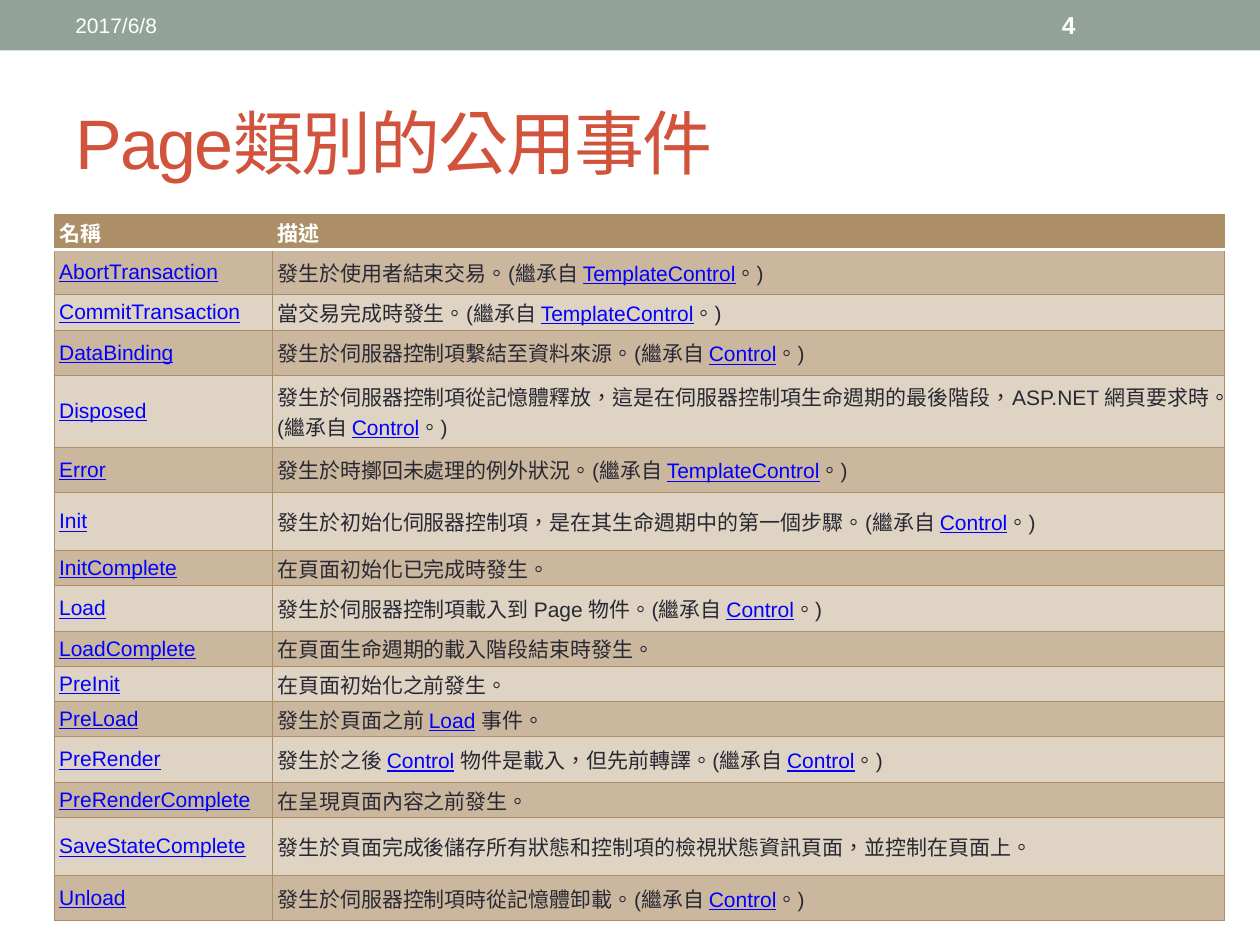
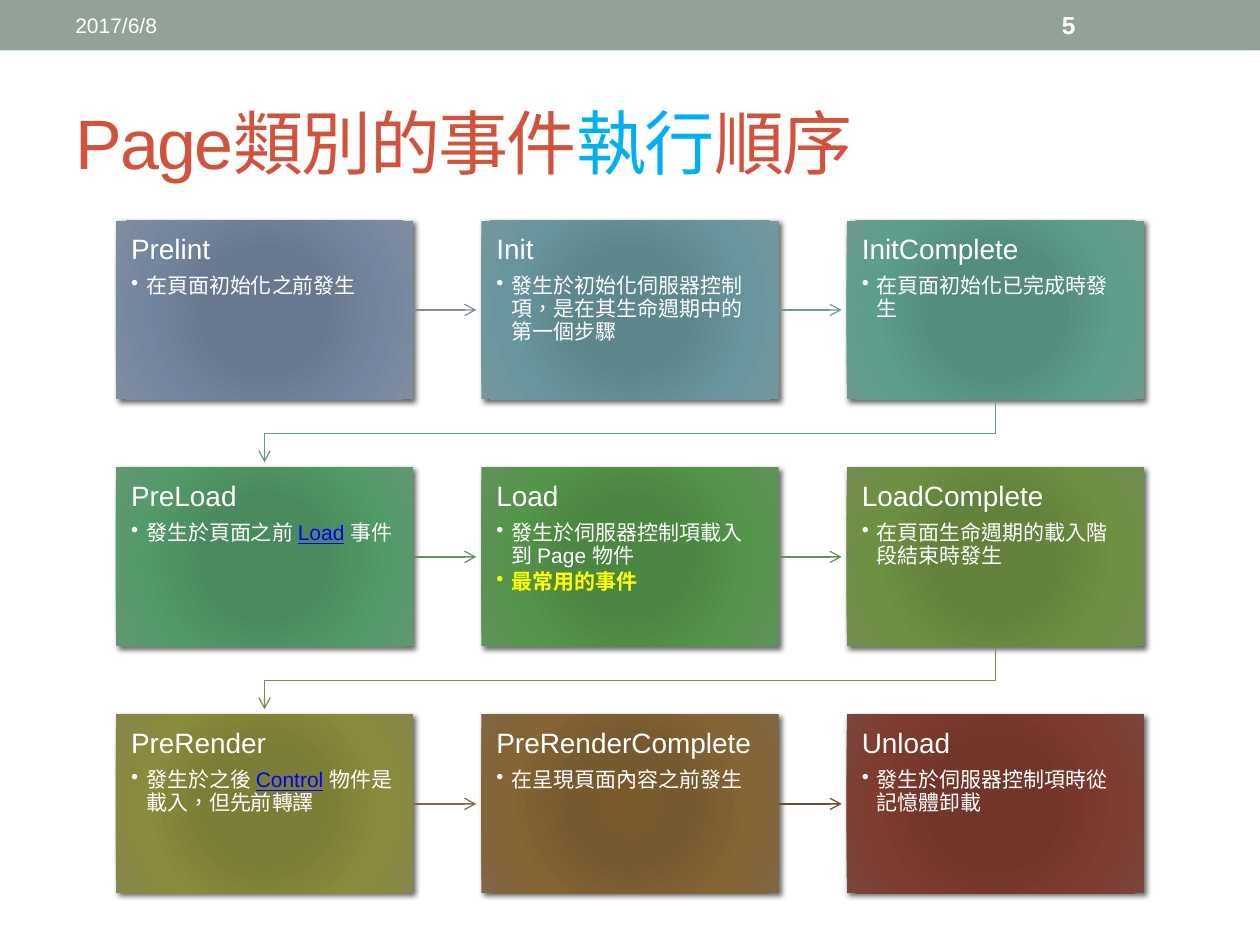
from dataclasses import dataclass
from lxml.etree import SubElement
from pptx import Presentation
from pptx.dml.color import RGBColor
from pptx.enum.shapes import MSO_CONNECTOR as Link, MSO_SHAPE as Preset
from pptx.enum.text import MSO_ANCHOR as Anchor, MSO_AUTO_SIZE as Fit, PP_ALIGN as Align
from pptx.oxml.ns import qn
from pptx.util import Inches, Pt


@dataclass(frozen=True)
class Theme:
    font: str = "Arial"
    language: str = "zh-TW"
    white: str = "FFFFFF"
    band: str = "93A299"
    title: str = "D2533C"
    accent: str = "00B0F0"
    text: str = "292934"
    link: str = "0000FF"
    notice: str = "FFFF00"
    head: str = "AD8F67"
    stripes: tuple = ("DFD3C3", "CAB79E")
    title_size: int = 40
    step_size: int = 16
    number_size: int = 14
    body_size: int = 12


THEME = Theme()
DATE = "2017/6/8"

EVENTS_TITLE = "Page類別的公用事件"
HEADINGS = ("名稱", "描述")
COLUMN_WIDTHS = (1.73, 7.56)
SHORT, MEDIUM, TALL, DOUBLE = 0.28, 0.36, 0.46, 0.57
FROM_CONTROL = "(繼承自 |Control|。)"
FROM_TEMPLATE = "(繼承自 |TemplateControl|。)"
EVENTS = [
    ("AbortTransaction", "發生於使用者結束交易。" + FROM_TEMPLATE, MEDIUM),
    ("CommitTransaction", "當交易完成時發生。" + FROM_TEMPLATE, SHORT),
    ("DataBinding", "發生於伺服器控制項繫結至資料來源。" + FROM_CONTROL, MEDIUM),
    ("Disposed", "發生於伺服器控制項從記憶體釋放，這是在伺服器控制項生命週期的最後階段，"
     "ASP.NET 網頁要求時。" + FROM_CONTROL, DOUBLE),
    ("Error", "發生於時擲回未處理的例外狀況。" + FROM_TEMPLATE, MEDIUM),
    ("Init", "發生於初始化伺服器控制項，是在其生命週期中的第一個步驟。" + FROM_CONTROL, TALL),
    ("InitComplete", "在頁面初始化已完成時發生。", SHORT),
    ("Load", "發生於伺服器控制項載入到 Page 物件。" + FROM_CONTROL, MEDIUM),
    ("LoadComplete", "在頁面生命週期的載入階段結束時發生。", SHORT),
    ("PreInit", "在頁面初始化之前發生。", SHORT),
    ("PreLoad", "發生於頁面之前 |Load| 事件。", SHORT),
    ("PreRender", "發生於之後 |Control| 物件是載入，但先前轉譯。" + FROM_CONTROL, MEDIUM),
    ("PreRenderComplete", "在呈現頁面內容之前發生。", SHORT),
    ("SaveStateComplete", "發生於頁面完成後儲存所有狀態和控制項的檢視狀態資訊頁面，並控制在頁面上。", TALL),
    ("Unload", "發生於伺服器控制項時從記憶體卸載。" + FROM_CONTROL, MEDIUM),
]

ORDER_TITLE = "Page類別的事件|執行|順序"
STEPS = [
    ("Prelint", "在頁面初始化之前發生", "677790 68788E 74869F 808DA0"),
    ("Init", "發生於初始化伺服器控制項，是在其生命週期中的第一個步驟", "5C878F 5E868D 69959E 76979D"),
    ("InitComplete", "在頁面初始化已完成時發生", "528E7E 548C7D 5D9D8C 6B9A8E"),
    ("PreLoad", "發生於頁面之前 |Load| 事件", "488C5D 4A8A5E 539A69 629772"),
    ("Load", "發生於伺服器控制項載入到 Page 物件", "4A8841 4C8643 55954B 61915A"),
    ("LoadComplete", "在頁面生命週期的載入階段結束時發生", "63843A 63823C 6E9043 728C52"),
    ("PreRender", "發生於之後 |Control| 物件是載入，但先前轉譯", "7E7F33 7C7D36 8A8B3C 85864B"),
    ("PreRenderComplete", "在呈現頁面內容之前發生", "7A5A2D 775930 856435 806644"),
    ("Unload", "發生於伺服器控制項時從記憶體卸載", "743327 72352A 7F3B2F 79463D"),
]
NOTICES = {"Load": "最常用的事件"}
ARROW_COLORS = "808DA0 74999D 689A86 5E9465 6B8E55 80884D 806B45 79463D".split()
GRADIENT_STOPS = (0, 34, 70, 100)
GRID_COLUMNS = 3
GRID_LEFT, GRID_TOP = 0.92, 1.75
STEP_WIDTH, STEP_HEIGHT = 2.36, 1.42
PITCH_X, PITCH_Y = 2.9, 1.96
ARROW_GAP = 0.04


def rgb(value):
    return RGBColor.from_string(value)


def add_xml(parent, tag, **attributes):
    node = SubElement(parent, qn(tag))
    for name, value in attributes.items():
        node.set(name, str(value))
    return node


def apply(target, **values):
    for name, value in values.items():
        setattr(target, name, value)


def write(para, text, size, color, bold=False, marked=None, spacing=None):
    for index, part in enumerate(text.split("|")):
        if not part:
            continue
        span = para.add_run()
        span.text = part
        style = dict(name=THEME.font, size=Pt(size), bold=bold)
        shade = color
        if index % 2 == 1:
            shade = marked or THEME.link
            style["underline"] = marked is None
        apply(span.font, **style)
        span.font.color.rgb = rgb(shade)
        properties = span._r.get_or_add_rPr()
        properties.set("lang", THEME.language)
        properties.set("altLang", "en-US")
        if spacing:
            properties.set("spc", str(spacing))


def add_label(page, text, left, width, size, bold=False):
    box = page.shapes.add_textbox(Inches(left), Inches(0.02), Inches(width), Inches(0.36))
    apply(box.text_frame, word_wrap=True, vertical_anchor=Anchor.MIDDLE)
    write(box.text_frame.paragraphs[0], text, size, THEME.white, bold)


def add_page(deck, title, number):
    page = deck.slides.add_slide(deck.slide_layouts[5])
    band = page.shapes.add_shape(Preset.RECTANGLE, 0, 0, deck.slide_width, Inches(0.4))
    band.fill.solid()
    band.fill.fore_color.rgb = rgb(THEME.band)
    band.line.fill.background()
    band.shadow.inherit = False

    heading = page.shapes.title
    apply(heading, left=Inches(0.5), top=Inches(0.58), width=Inches(9), height=Inches(1.08))
    apply(heading.text_frame, word_wrap=True, vertical_anchor=Anchor.MIDDLE, auto_size=Fit.NONE)
    para = heading.text_frame.paragraphs[0]
    para.alignment = Align.LEFT
    write(para, title, THEME.title_size, THEME.title, marked=THEME.accent, spacing=-100)

    add_label(page, DATE, 0.5, 3.17, THEME.body_size)
    add_label(page, number, 8.33, 1.17, THEME.number_size, bold=True)
    return page


def set_borders(cell, **changes):
    properties = cell._tc.get_or_add_tcPr()
    for index, side in enumerate("LRTB"):
        color, width = changes.get(side, (THEME.head, 0.75))
        line = add_xml(properties, f"a:ln{side}", w=Pt(width))
        add_xml(add_xml(line, "a:solidFill"), "a:srgbClr", val=color)
        properties.insert(index, line)


def fill_cell(cell, text, fill, color, bold=False, **borders):
    apply(cell, margin_left=Inches(0.04), margin_right=Inches(0.04),
          margin_top=Inches(0.02), margin_bottom=Inches(0.02), vertical_anchor=Anchor.MIDDLE)
    cell.fill.solid()
    cell.fill.fore_color.rgb = rgb(fill)
    set_borders(cell, **borders)
    write(cell.text_frame.paragraphs[0], text, THEME.body_size, color, bold)


def add_event_table(page):
    heights = [SHORT] + [height for _, _, height in EVENTS]
    table = page.shapes.add_table(
        len(heights), len(COLUMN_WIDTHS), Inches(0.43), Inches(1.7),
        Inches(sum(COLUMN_WIDTHS)), Inches(sum(heights))).table
    for column, width in zip(table.columns, COLUMN_WIDTHS):
        column.width = Inches(width)
    for row, height in zip(table.rows, heights):
        row.height = Inches(height)

    divider = (THEME.white, 2.08)
    for column, text in enumerate(HEADINGS):
        fill_cell(table.cell(0, column), text, THEME.head, THEME.white, True, B=divider)
    for row, (name, description, _) in enumerate(EVENTS, 1):
        borders = {"T": divider} if row == 1 else {}
        for column, text in enumerate((f"|{name}|", description)):
            fill_cell(table.cell(row, column), text, THEME.stripes[row % 2], THEME.text, **borders)


def shade_step(box, colors):
    box.fill.background()
    box.line.fill.background()
    box.shadow.inherit = False
    properties = box.element.spPr
    gradient = add_xml(properties, "a:gradFill", rotWithShape=1)
    stops = add_xml(gradient, "a:gsLst")
    for position, color in zip(GRADIENT_STOPS, colors.split()):
        add_xml(add_xml(stops, "a:gs", pos=position * 1000), "a:srgbClr", val=color)
    circle = add_xml(gradient, "a:path", path="circle")
    add_xml(circle, "a:fillToRect", **dict.fromkeys("ltrb", 100000))
    properties.replace(properties.find(qn("a:noFill")), gradient)
    shadow = add_xml(properties.find(qn("a:effectLst")), "a:outerShdw", blurRad=Pt(3),
                     dist=Pt(2), dir=45 * 60000, rotWithShape=0)
    add_xml(add_xml(shadow, "a:srgbClr", val="000000"), "a:alpha", val=60000)


def add_bullet(frame, text, color, bold=False):
    para = frame.add_paragraph()
    properties = para._p.get_or_add_pPr()
    indent = Inches(0.12)
    properties.set("marL", str(indent))
    properties.set("indent", str(-indent))
    add_xml(properties, "a:buChar", char="•")
    apply(para, alignment=Align.LEFT, line_spacing=0.9, space_after=Pt(1.8))
    write(para, text, THEME.body_size, color, bold)


def add_step(page, index, name, description, colors):
    row, column = divmod(index, GRID_COLUMNS)
    box = page.shapes.add_shape(
        Preset.RECTANGLE, Inches(GRID_LEFT + column * PITCH_X), Inches(GRID_TOP + row * PITCH_Y),
        Inches(STEP_WIDTH), Inches(STEP_HEIGHT))
    shade_step(box, colors)
    frame = box.text_frame
    inset = Inches(0.12)
    apply(frame, word_wrap=True, vertical_anchor=Anchor.TOP, margin_left=inset,
          margin_right=inset, margin_top=inset, margin_bottom=inset)
    para = frame.paragraphs[0]
    apply(para, alignment=Align.LEFT, line_spacing=0.9, space_after=Pt(5.6))
    write(para, name, THEME.step_size, THEME.white)
    add_bullet(frame, description, THEME.white)
    if name in NOTICES:
        add_bullet(frame, NOTICES[name], THEME.notice, bold=True)
    return box


def style_arrow(arrow, color):
    arrow.line.color.rgb = rgb(color)
    arrow.line.width = Pt(0.75)
    properties = arrow.element.spPr
    add_xml(properties.find(qn("a:ln")), "a:tailEnd", type="arrow")
    add_xml(properties, "a:effectLst")


def add_arrow(page, source, target, color):
    gap = Inches(ARROW_GAP)
    if source.top == target.top:
        middle = source.top + source.height // 2
        arrow = page.shapes.add_connector(
            Link.STRAIGHT, source.left + source.width, middle, target.left - gap, middle)
        arrow.begin_connect(source, 3)
    else:
        start_x = source.left + source.width // 2
        end_x = target.left + target.width // 2
        start_y = source.top + source.height
        turn_y = (start_y + target.top) // 2
        builder = page.shapes.build_freeform(start_x, start_y)
        builder.add_line_segments(
            [(start_x, turn_y), (end_x, turn_y), (end_x, target.top - gap)], close=False)
        arrow = builder.convert_to_shape()
        arrow.fill.background()
    style_arrow(arrow, color)


def main():
    deck = Presentation()
    apply(deck, slide_width=Inches(10), slide_height=Inches(7.5))
    add_event_table(add_page(deck, EVENTS_TITLE, "4"))

    page = add_page(deck, ORDER_TITLE, "5")
    boxes = [add_step(page, index, *step) for index, step in enumerate(STEPS)]
    for source, target, color in zip(boxes, boxes[1:], ARROW_COLORS):
        add_arrow(page, source, target, color)
    deck.save("out.pptx")


if __name__ == "__main__":
    main()
